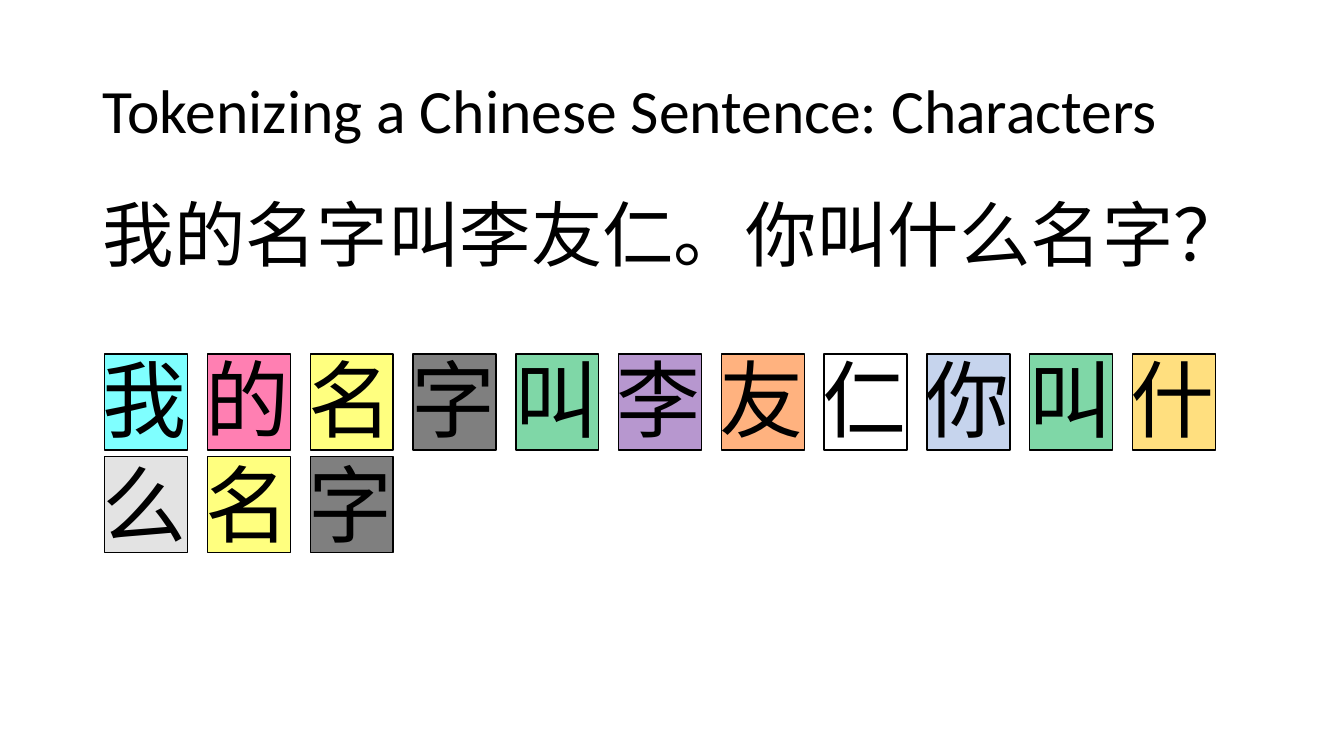
from lxml.etree import SubElement
from pptx import Presentation
from pptx.dml.color import RGBColor as RGB
from pptx.enum.shapes import MSO_SHAPE as Shape
from pptx.enum.text import MSO_ANCHOR as Anchor
from pptx.oxml.ns import qn
from pptx.util import Cm, Pt

INK = "000000"
# One colour per character, so repeated characters match
COLORS = {
    "我": "00FFFF", "的": "FF0066", "名": "FFFF00", "字": "000000",
    "叫": "00B050", "李": "7030A0", "友": "FF6600", "仁": "FFFFFF",
    "你": "8FAADC", "什": "FFC000", "么": "C9C9C9",
}
TOKEN_ROWS = ["我的名字叫李友仁你叫什", "么名字"]
LEFT, WIDTH = 2.34, 29.21
TILE_LEFT, TILE_TOP, PITCH = 2.64, 8.92, 2.59
TILE_W, TILE_H = 2.09, 2.42


class Deck:
    """Holds the style and the current slide."""

    def __init__(self, prs, font="Calibri"):
        self.font = font
        self.s = prs.slides.add_slide(prs.slide_layouts[6])

    def tile(self, x, y, color):
        sp = self.s.shapes.add_shape(
            Shape.RECTANGLE, Cm(x), Cm(y), Cm(TILE_W), Cm(TILE_H))
        sp.shadow.inherit = False
        sp.fill.solid()
        sp.fill.fore_color.rgb = RGB.from_string(color)
        # Half-transparent fill
        clr = sp._element.spPr.find(qn("a:solidFill")).find(qn("a:srgbClr"))
        SubElement(clr, qn("a:alpha")).set("val", "50000")
        sp.line.color.rgb = RGB.from_string(INK)
        sp.line.width = Pt(1)

    def text(self, y, h, lines, size, spacing, before=0, anchor=Anchor.TOP):
        tf = self.s.shapes.add_textbox(
            Cm(LEFT), Cm(y), Cm(WIDTH), Cm(h)).text_frame
        tf.word_wrap = True
        tf.vertical_anchor = anchor
        for i, line in enumerate(lines):
            p = tf.add_paragraph() if i else tf.paragraphs[0]
            p.line_spacing = spacing
            p.space_before = Pt(before)
            r = p.add_run()
            r.text = line
            r.font.name = self.font
            r.font.size = Pt(size)
            r.font.color.rgb = RGB.from_string(INK)


def main():
    prs = Presentation()
    prs.slide_width, prs.slide_height = Cm(33.87), Cm(19.05)
    deck = Deck(prs)

    # Tiles behind the characters
    for row, chars in enumerate(TOKEN_ROWS):
        for col, char in enumerate(chars):
            deck.tile(TILE_LEFT + col * PITCH, TILE_TOP + row * PITCH,
                      COLORS[char])

    # Title, sentence and its tokens
    deck.text(1.02, 3.68, ["Tokenizing a Chinese Sentence: Characters"],
              44, 0.9, anchor=Anchor.MIDDLE)
    deck.text(5.08, 3.56, ["我的名字叫李友仁。你叫什么名字？"], 51, 0.8, before=10)
    deck.text(8.92, 6.3, [" ".join(row) for row in TOKEN_ROWS],
              60, 0.9, before=10)

    prs.save("out.pptx")


if __name__ == "__main__":
    main()
